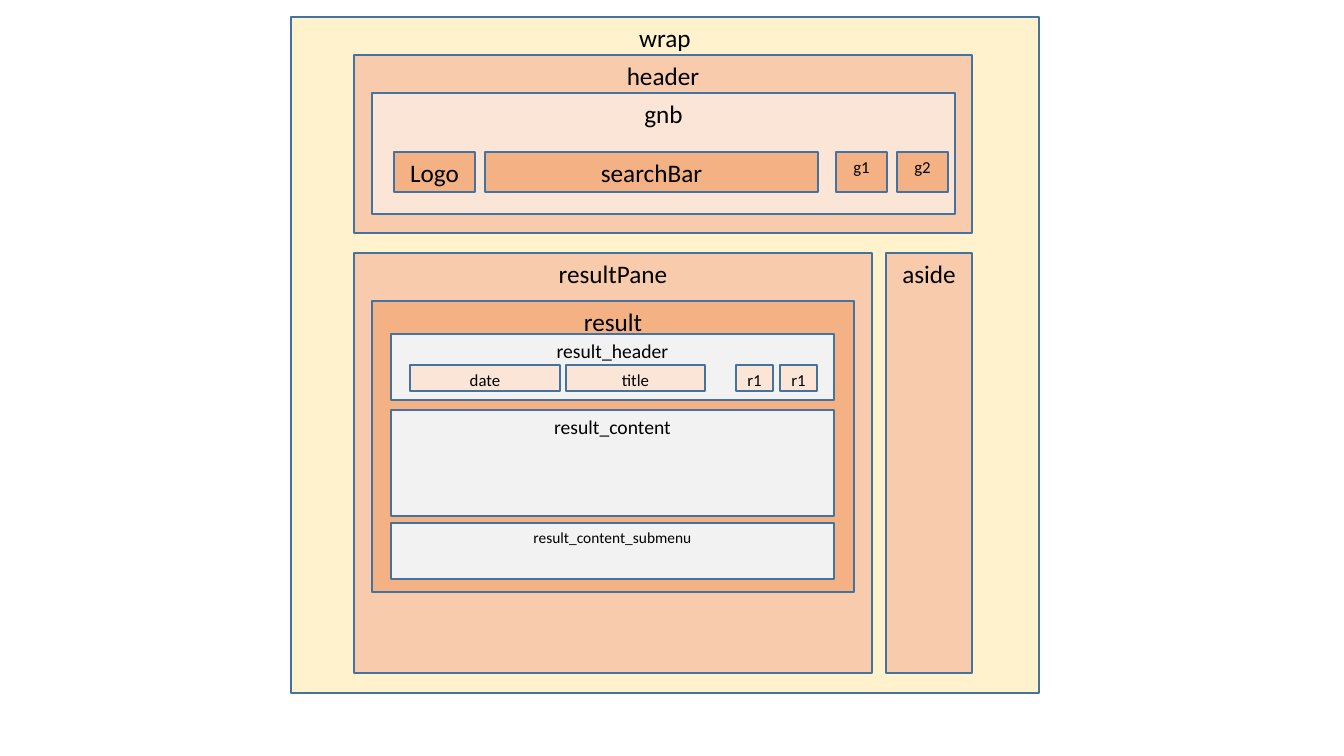
from pptx import Presentation
from pptx import util as u
from pptx.dml.color import RGBColor
from pptx.enum import shapes, text

SCALE = 914400 / 100.8
FONT = "Calibri"
BLACK = RGBColor(0x00, 0x00, 0x00)
BLUE = RGBColor(0x43, 0x73, 0x9E)
CREAM = RGBColor(0xFF, 0xF2, 0xCC)
PEACH = RGBColor(0xF8, 0xCB, 0xAD)
ORANGE = RGBColor(0xF4, 0xB1, 0x83)
BLUSH = RGBColor(0xFB, 0xE5, 0xD6)
GREY = RGBColor(0xF2, 0xF2, 0xF2)


def px(n):
    """Turn pixels into EMU."""
    return u.Emu(round(n * SCALE))


def add_box(slide, label, area, fill, size=18):
    """Draw a labelled block; area is left, top, width, height."""
    box = slide.shapes.add_shape(shapes.MSO_SHAPE.RECTANGLE, *map(px, area))
    box.shadow.inherit = False
    box.fill.solid()
    box.fill.fore_color.rgb = fill
    box.line.color.rgb = BLUE
    box.line.width = u.Pt(1)
    frame = box.text_frame
    frame.word_wrap = True
    frame.vertical_anchor = text.MSO_ANCHOR.TOP
    para = frame.paragraphs[0]
    para.alignment = text.PP_ALIGN.CENTER
    run = para.add_run()
    run.text = label
    run.font.name = FONT
    run.font.size = u.Pt(size)
    run.font.color.rgb = BLACK


def add_row(slide, top, height, fill, items):
    """Draw blocks side by side; items hold label, left, width, size."""
    for label, left, width, size in items:
        add_box(slide, label, (left, top, width, height), fill, size)


def add_stack(slide, left, width, fill, items):
    """Draw blocks one below another; items hold label, top, height, size."""
    for label, top, height, size in items:
        add_box(slide, label, (left, top, width, height), fill, size)


def main():
    """Build the page layout diagram."""
    deck = Presentation()
    deck.slide_width, deck.slide_height = px(1344), px(756)
    slide = deck.slides.add_slide(deck.slide_layouts[6])

    add_box(slide, "wrap", (291, 17, 748, 676), CREAM)
    add_box(slide, "header", (354, 55, 618, 178), PEACH)
    add_row(slide, 253, 420, PEACH, [
        ("resultPane", 354, 518, 18), ("aside", 886, 86, 18)])
    add_box(slide, "result", (372, 301, 482, 291), ORANGE)
    add_box(slide, "gnb", (372, 93, 583, 121), BLUSH)
    add_row(slide, 152, 40, ORANGE, [
        ("Logo", 394, 81, 18), ("searchBar", 485, 333, 18),
        ("g1", 836, 51, 12), ("g2", 897, 51, 12)])
    add_stack(slide, 391, 443, GREY, [
        ("result_header", 334, 66, 14), ("result_content", 410, 106, 14),
        ("result_content_submenu", 523, 56, 11)])
    add_row(slide, 365, 26, BLUSH, [
        ("date", 410, 150, 12), ("title", 566, 139, 12),
        ("r1", 736, 37, 12), ("r1", 780, 37, 12)])

    deck.save("out.pptx")


main()
